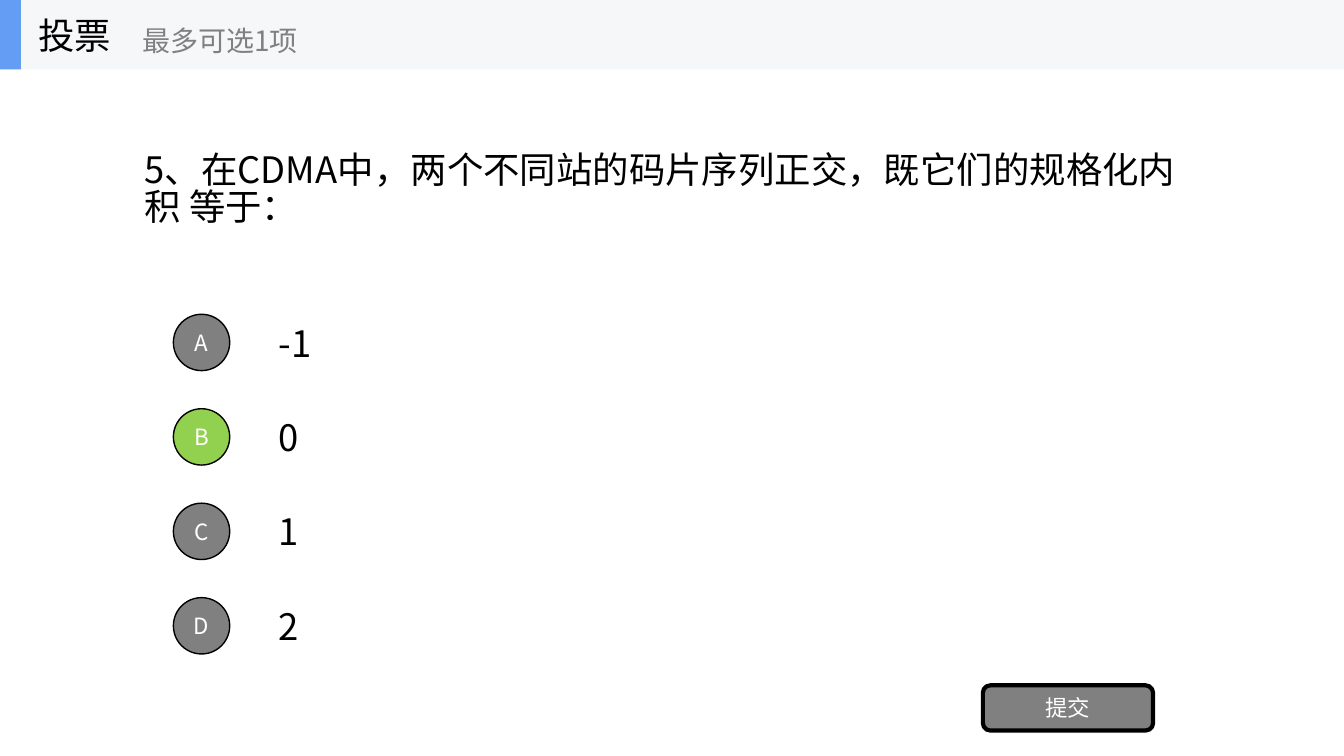
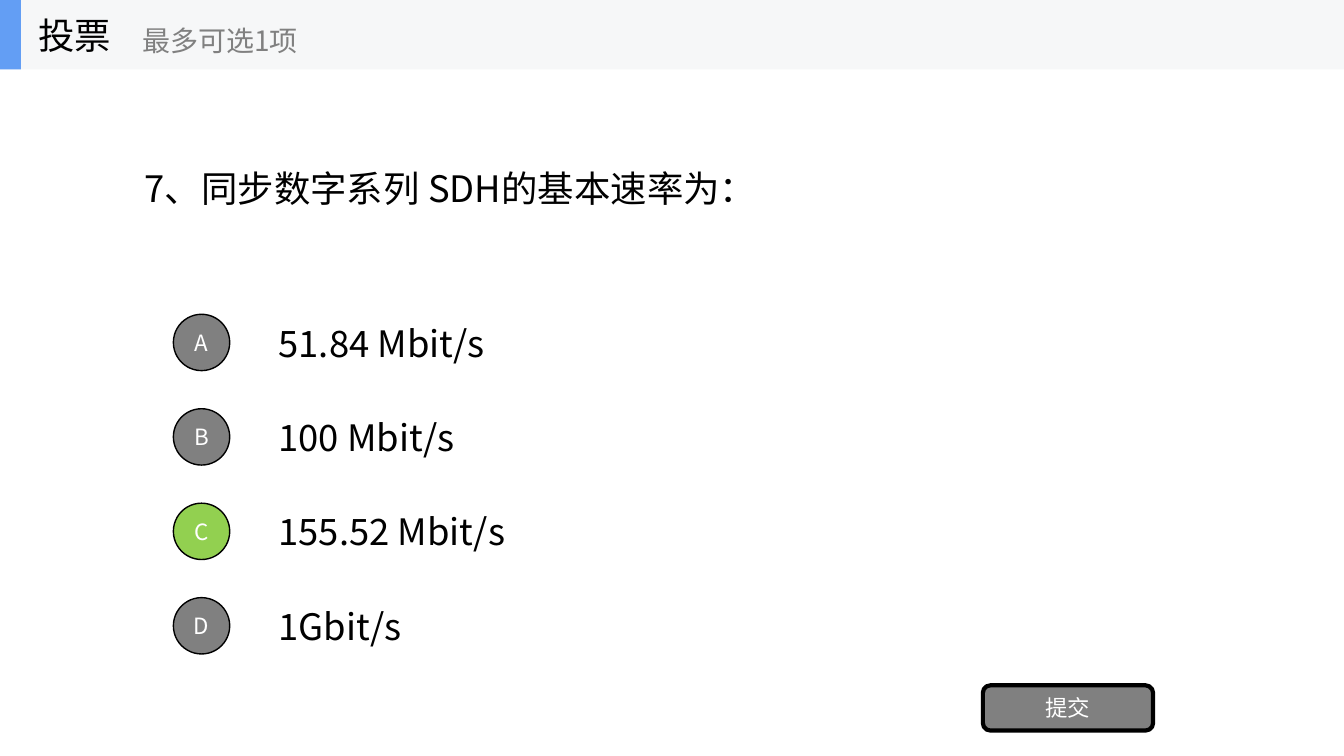
from dataclasses import dataclass

import pptx
import pptx.dml.color
import pptx.enum.shapes
import pptx.enum.text
import pptx.oxml
import pptx.oxml.ns
import pptx.util

Cm = pptx.util.Cm
Pt = pptx.util.Pt
Shape = pptx.enum.shapes.MSO_SHAPE
Align = pptx.enum.text.PP_ALIGN

FONT = "Noto Sans CJK SC"
COLORS = {
    "text": "000000",
    "white": "FFFFFF",
    "grey": "808080",
    "answer": "92D050",
    "band": "F6F7F8",
    "accent": "639EF4",
}
SLIDE_W, SLIDE_H = 33.87, 19.05
BAND_H = 1.75
OPTION_TOP, OPTION_H, OPTION_PITCH = 7.74, 1.78, 2.38
CIRCLE = 1.42


@dataclass
class Box:
    left: float
    top: float
    width: float
    height: float

    def lengths(self) -> tuple:
        return Cm(self.left), Cm(self.top), Cm(self.width), Cm(self.height)


@dataclass
class Question:
    text: str
    options: list[str]
    answer: str


QUESTIONS = [
    Question("5、在CDMA中，两个不同站的码片序列正交，既它们的规格化内积 等于：",
             ["-1", "0", "1", "2"], "B"),
    Question("7、同步数字系列 SDH的基本速率为：",
             ["51.84 Mbit/s", "100 Mbit/s", "155.52 Mbit/s", "1Gbit/s"], "C"),
]


def rgb(name: str) -> pptx.dml.color.RGBColor:
    return pptx.dml.color.RGBColor.from_string(COLORS[name])


def set_text(sp, text: str, size: int, color: str, align=Align.LEFT) -> None:
    tf = sp.text_frame
    tf.text = text
    tf.word_wrap = True
    tf.auto_size = pptx.enum.text.MSO_AUTO_SIZE.NONE
    tf.vertical_anchor = pptx.enum.text.MSO_ANCHOR.MIDDLE
    p = tf.paragraphs[0]
    p.alignment = align
    for r in p.runs:
        r.font.size = Pt(size)
        r.font.name = FONT
        r.font.color.rgb = rgb(color)
        # East Asian characters take their font from a:ea
        ea = pptx.oxml.parse_xml(
            f'<a:ea {pptx.oxml.ns.nsdecls("a")} typeface="{FONT}"/>')
        r.font._element.find(pptx.oxml.ns.qn("a:latin")).addnext(ea)


def add_label(shapes, box: Box, text: str, size: int, color: str = "text") -> None:
    sp = shapes.add_textbox(*box.lengths())
    set_text(sp, text, size, color)


def add_block(shapes, kind, box: Box, fill: str, line: float = 0, text: str = "") -> None:
    sp = shapes.add_shape(kind, *box.lengths())
    sp.shadow.inherit = False
    sp.fill.solid()
    sp.fill.fore_color.rgb = rgb(fill)
    if line:
        sp.line.color.rgb = rgb("text")
        sp.line.width = Pt(line)
    else:
        sp.line.fill.background()
    if text:
        tf = sp.text_frame
        tf.margin_left = tf.margin_right = tf.margin_top = tf.margin_bottom = 0
        set_text(sp, text, 16, "white", Align.CENTER)


def add_header(s) -> None:
    shapes = s.shapes.add_group_shape().shapes
    add_block(shapes, Shape.RECTANGLE, Box(0, 0, SLIDE_W, BAND_H), "band")
    add_block(shapes, Shape.RECTANGLE, Box(0, 0, 0.53, BAND_H), "accent")
    add_label(shapes, Box(0.71, 0, 5.28, BAND_H), "投票", 26)
    add_label(shapes, Box(3.33, 0.3, 6.35, 1.42), "最多可选1项", 20, "grey")


def add_question(s, question: Question) -> None:
    # Question text
    title = s.shapes.title
    title.left, title.top, title.width, title.height = Box(3.39, BAND_H, 27.1, 5.94).lengths()
    set_text(title, question.text, 26, "text")
    title.text_frame.margin_top = Cm(0.33)
    title.text_frame.margin_bottom = Cm(0.13)
    title.text_frame.paragraphs[0].line_spacing = 0.84

    # Options, with the right answer in green
    for i, (letter, option) in enumerate(zip("ABCD", question.options)):
        top = OPTION_TOP + i * OPTION_PITCH
        add_label(s.shapes, Box(6.77, top, 23.7, OPTION_H), option, 26)
        fill = "answer" if letter == question.answer else "grey"
        circle = Box(4.37, top + (OPTION_H - CIRCLE) / 2, CIRCLE, CIRCLE)
        add_block(s.shapes, Shape.OVAL, circle, fill, 1, letter)

    # Submit button
    add_block(s.shapes, Shape.ROUNDED_RECTANGLE, Box(24.77, 17.27, 4.29, 1.14),
              "grey", 3, "提交")


def main() -> None:
    prs = pptx.Presentation()
    prs.slide_width, prs.slide_height = Cm(SLIDE_W), Cm(SLIDE_H)
    for question in QUESTIONS:
        s = prs.slides.add_slide(prs.slide_layouts[5])
        add_question(s, question)
        add_header(s)
    prs.save("out.pptx")


if __name__ == "__main__":
    main()
